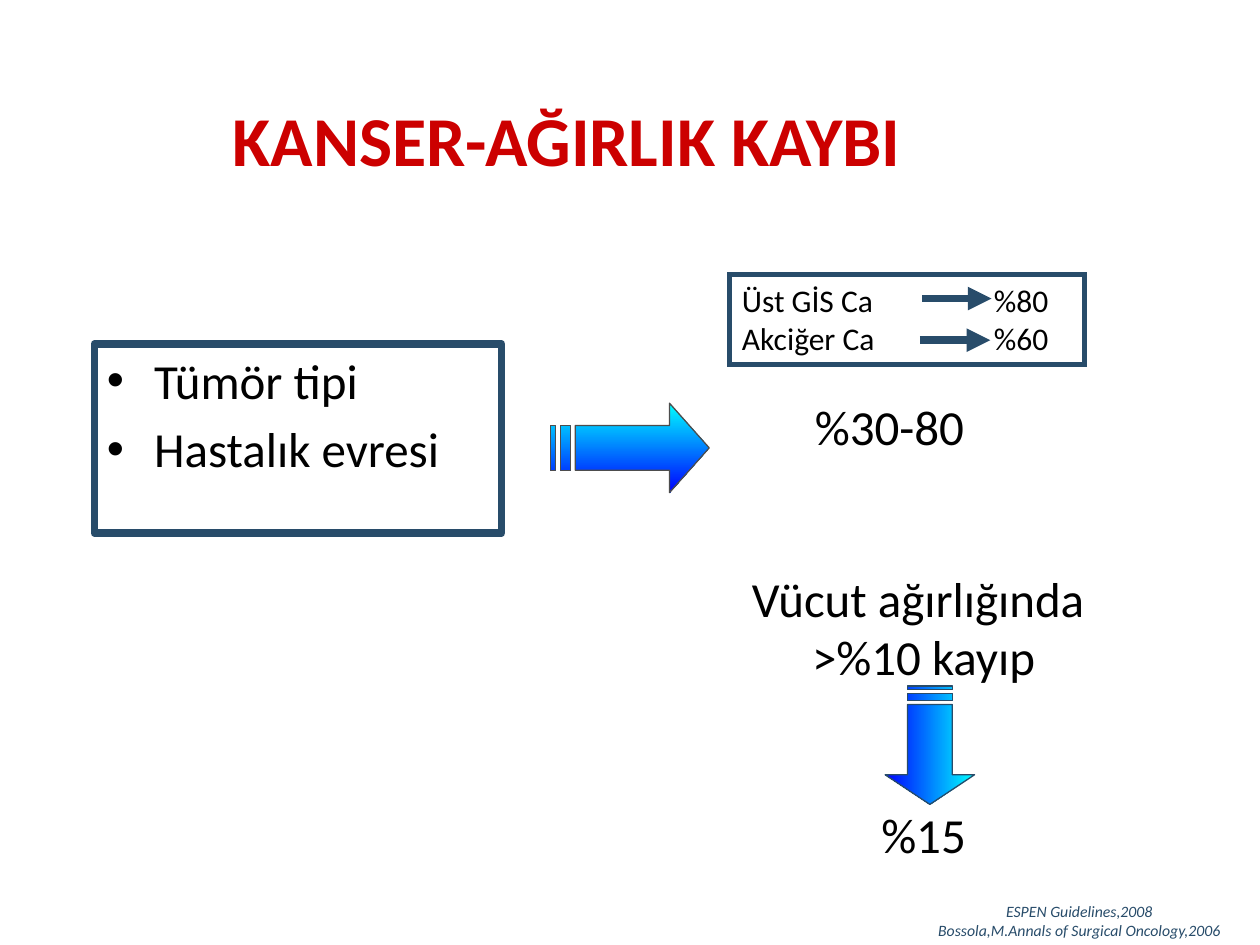
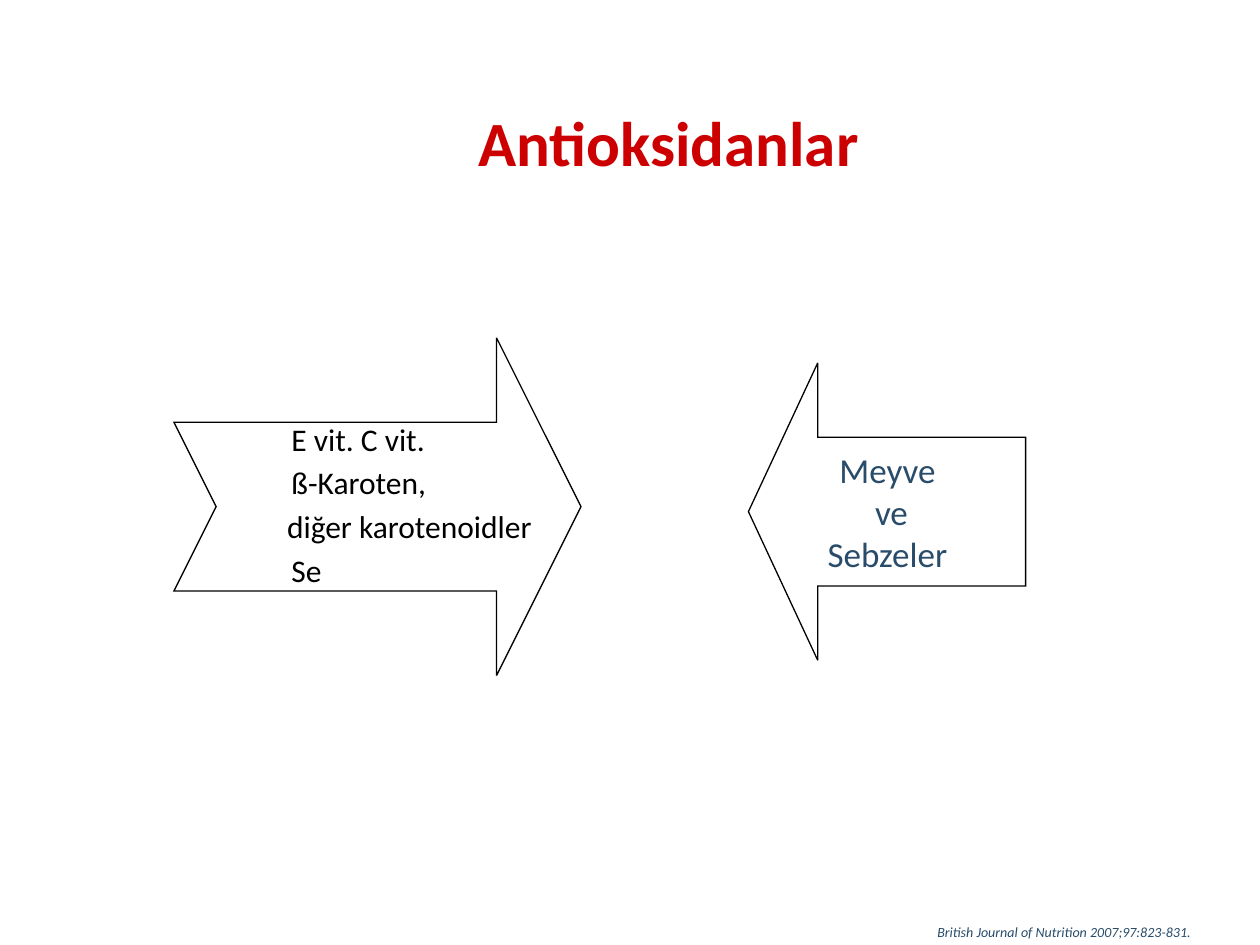
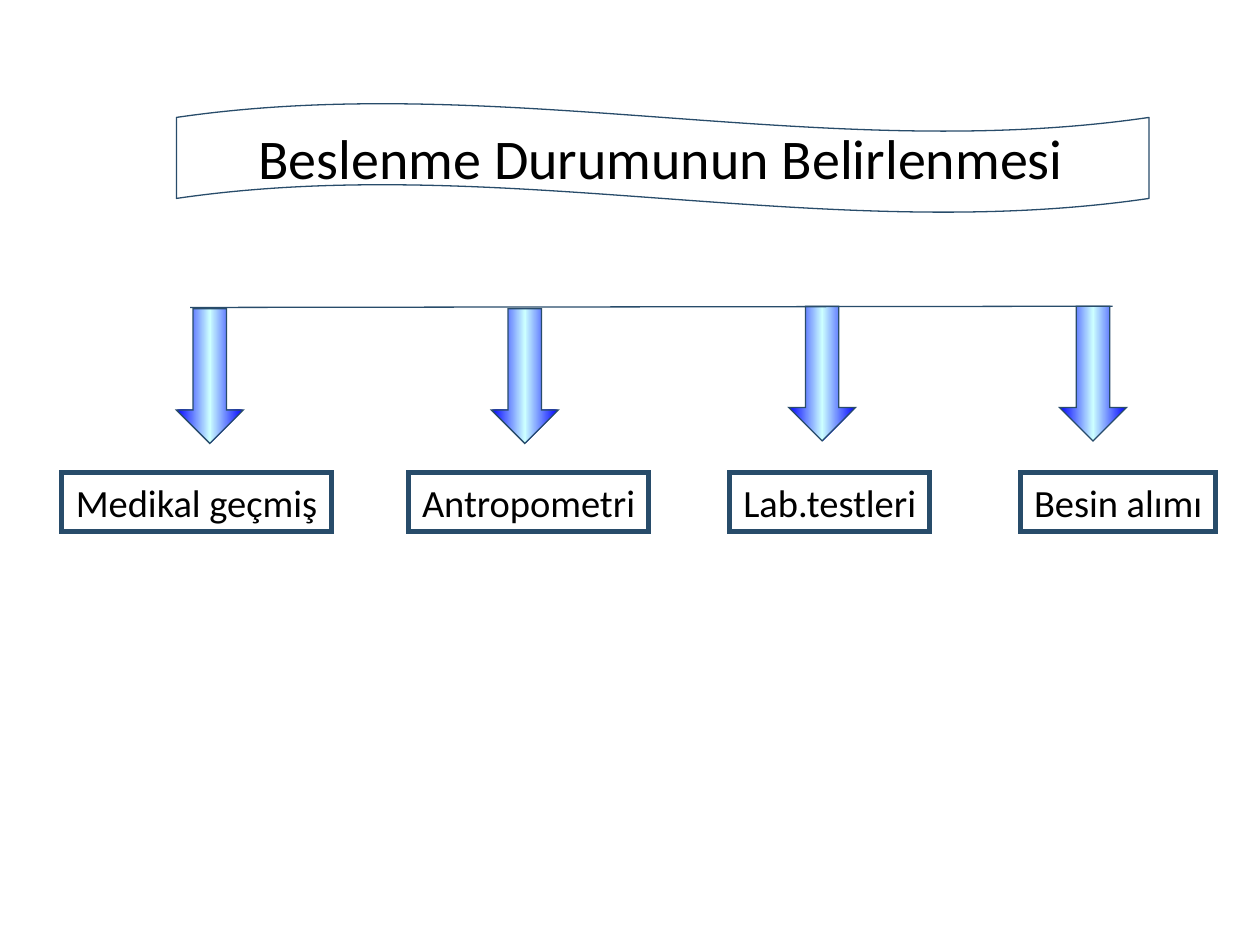
import pptx
import pptx.util
import pptx.dml.color
import pptx.enum.shapes
import pptx.enum.text
import pptx.oxml
import pptx.oxml.ns
from lxml import etree

Pt = pptx.util.Pt
SHAPE = pptx.enum.shapes.MSO_SHAPE
ANCHOR = pptx.enum.text.MSO_ANCHOR
LEFT, CENTER = pptx.enum.text.PP_ALIGN.LEFT, pptx.enum.text.PP_ALIGN.CENTER
qn = pptx.oxml.ns.qn

FONT, BULLET_FONT = "Calibri", "Arial"
COLORS = {"title": "CC0000", "navy": "284C6A", "black": "000000",
          "gray": "4D4D4D", "cyan": "00FFFF", "blue": "0000FF", "pale": "CCFFFF"}
CYAN_TO_BLUE = [(0, "cyan"), (100, "blue")]
BLUE_PALE_BLUE = [(0, "blue"), (50, "pale"), (100, "blue")]
TITLE_SIZE = (636, 72)

# Slide 1
FACTORS = ["Tümör tipi", "Hastalık evresi"]
RATES = ["Üst GİS Ca\t%80", "Akciğer Ca\t%60"]
RATE_TAB = 144
RATE_ARROWS = [(527, 566.6, 170.6), (525.6, 565.9, 194.4)]
LOSS = ["Vücut ağırlığında ", ">%10 kayıp", "%15"]
LOSS_GAP = 68
REFERENCES = ["ESPEN Guidelines,2008", "Bossola,M.Annals of Surgical Oncology,2006"]

# Slide 2: text and left indent
ANTIOXIDANTS = [("E vit. C vit.", 27), ("ß-Karoten,", 27),
                ("diğer karotenoidler", 24.5), ("Se", 27)]
SOURCES = ["Meyve ", "ve", "Sebzeler "]
JOURNAL = ["British Journal of Nutrition 2007;97:823-831."]

# Slide 3: label, box left, box width, arrow left, arrow top
ASSESSMENTS = [("Medikal geçmiş", 35.3, 154, 100.8, 176.4),
               ("Antropometri", 233.3, 137.5, 280.8, 176.4),
               ("Lab.testleri", 416.9, 114.5, 450.7, 175),
               ("Besin alımı", 583.2, 111.6, 605.5, 175)]


def rgb(name):
    return pptx.dml.color.RGBColor.from_string(COLORS[name])


def set_line(shape, color, width, miter=False):
    shape.line.color.rgb = rgb(color)
    shape.line.width = Pt(width)
    if miter:
        etree.SubElement(shape.line._get_or_add_ln(), qn("a:miter"), lim="800000")


def set_gradient(shape, stops, angle):
    """Fill with (percent, colour) stops; angle is clockwise in degrees."""
    shape.fill.gradient()
    grad = shape._element.spPr.find(qn("a:gradFill"))
    stop_list = grad.find(qn("a:gsLst"))
    for stop in list(stop_list):
        stop_list.remove(stop)
    for percent, color in stops:
        stop = etree.SubElement(stop_list, qn("a:gs"), pos=str(percent * 1000))
        etree.SubElement(stop, qn("a:srgbClr"), val=COLORS[color])
    grad.find(qn("a:lin")).set("ang", str(angle * 60000))


def write(shape, lines, size, color="black", align=LEFT, anchor=ANCHOR.TOP,
          wrap=False, bold=False, italic=False, gap=0):
    tf = shape.text_frame
    tf.word_wrap = wrap
    if not wrap:
        tf.auto_size = pptx.enum.text.MSO_AUTO_SIZE.SHAPE_TO_FIT_TEXT
    tf.vertical_anchor = anchor
    for i, line in enumerate(lines):
        p = tf.add_paragraph() if i else tf.paragraphs[0]
        p.alignment = align
        if i and gap:
            p.space_before = Pt(gap)
        r = p.add_run()
        r.text = line
        r.font.name, r.font.size = FONT, Pt(size)
        r.font.bold, r.font.italic = bold, italic
        r.font.color.rgb = rgb(color)
    return tf


def indent(p, left, first=0, bullet=None):
    pPr = p._p.get_or_add_pPr()
    pPr.set("marL", str(Pt(left)))
    pPr.set("indent", str(Pt(first)))
    if bullet:
        etree.SubElement(pPr, qn("a:buFont"), typeface=BULLET_FONT)
        etree.SubElement(pPr, qn("a:buChar"), char=bullet)


def add_tab_stop(p, position):
    tabs = etree.SubElement(p._p.get_or_add_pPr(), qn("a:tabLst"))
    etree.SubElement(tabs, qn("a:tab"), pos=str(Pt(position)), algn="l")


def add_text(s, box, lines, size, **style):
    return write(s.shapes.add_textbox(*map(Pt, box)), lines, size, **style)


def add_title(s, left, top, text, size, color="title", bold=True):
    add_text(s, (left, top, *TITLE_SIZE), [text], size, color=color, bold=bold,
             align=CENTER, anchor=ANCHOR.MIDDLE, wrap=True)


def add_reference(s, box, lines, size, align=LEFT):
    add_text(s, box, lines, size, color="navy", italic=True, align=align)


def add_outline(s, kind, box, color="navy", width=0.75, adjustments=(), miter=False):
    sp = s.shapes.add_shape(kind, *map(Pt, box))
    sp.shadow.inherit = False
    sp.fill.background()
    set_line(sp, color, width, miter)
    for i, value in enumerate(adjustments):
        sp.adjustments[i] = value
    return sp


def add_line(s, start, end, width, arrow=False):
    line = s.shapes.add_connector(pptx.enum.shapes.MSO_CONNECTOR.STRAIGHT,
                                  *map(Pt, (*start, *end)))
    set_line(line, "navy", width)
    if arrow:
        etree.SubElement(line.line._get_or_add_ln(), qn("a:tailEnd"), type="triangle")
    etree.SubElement(line._element.spPr, qn("a:effectLst"))


def add_striped_arrow(s, box, color, rotation=0):
    """Right arrow with two stripes behind its stem, laid out on fractions of the box."""
    left, top, width, height = box

    def at(x, y):
        return Pt(left + x * width), Pt(top + y * height)

    def bar(x1, x2):
        return [(x1, .25), (x1, .75), (x2, .75), (x2, .25)]

    head = [(.75, 0), (.75, .25), (5 / 32, .25), (5 / 32, .75), (.75, .75), (.75, 1), (1, .5)]
    builder = s.shapes.build_freeform(*at(*head[0]))
    for n, outline in enumerate([head, bar(1 / 16, 1 / 8), bar(0, 1 / 32)]):
        if n:
            builder.move_to(*at(*outline[0]))
        builder.add_line_segments([at(*point) for point in outline[1:]], close=True)
    sp = builder.convert_to_shape()
    sp.shadow.inherit = False
    sp.rotation = rotation
    set_gradient(sp, CYAN_TO_BLUE, 90)
    set_line(sp, color, 0.75)


def weight_loss_slide(s):
    add_title(s, 5.8, 43.2, "KANSER-AĞIRLIK KAYBI", 40)
    box = add_outline(s, SHAPE.RECTANGLE, (54, 196.6, 232.6, 108), width=4.5)
    for p in write(box, FACTORS, 28, wrap=True, gap=5.5).paragraphs:
        indent(p, 27, -27, "•")
    add_striped_arrow(s, (314.6, 230.4, 90.7, 51.1), "gray")
    add_text(s, (458.6, 223.2, 129.6, 41), ["%30-80"], 28)
    tf = add_text(s, (396, 321.1, 263.5, 177.1), LOSS, 28, align=CENTER)
    tf.paragraphs[-1].space_before = Pt(LOSS_GAP)
    add_striped_arrow(s, (497.5, 400.3, 67.7, 51.1), "navy", rotation=90)
    add_reference(s, (520.6, 511.9, 192.2, 28.8), REFERENCES, 9, CENTER)
    box = add_outline(s, SHAPE.RECTANGLE, (416.9, 157, 203, 51.1), width=3, miter=True)
    for p in write(box, RATES, 18).paragraphs:
        add_tab_stop(p, RATE_TAB)
    for x1, x2, y in RATE_ARROWS:
        add_line(s, (x1, y), (x2, y), 4.5, arrow=True)


def antioxidant_slide(s):
    tf = add_text(s, (132.5, 236.2, 182.2, 155.5), [text for text, _ in ANTIOXIDANTS],
                  18, wrap=True, gap=3.5)
    for p, (_, left) in zip(tf.paragraphs, ANTIOXIDANTS):
        indent(p, left)
    add_title(s, 64.1, 44.6, "Antioksidanlar", 36)
    for kind, box in [(SHAPE.NOTCHED_RIGHT_ARROW, (99.4, 193, 232.6, 193)),
                      (SHAPE.LEFT_ARROW, (427.7, 207.4, 158.4, 169.9))]:
        add_outline(s, kind, box, "black", adjustments=(0.5, 0.25), miter=True)
    add_text(s, (460.8, 252.7, 97.2, 79.2), SOURCES, 20, color="navy", align=CENTER)
    add_reference(s, (528.5, 524.2, 179.3, 16.6), JOURNAL, 8)


def assessment_slide(s):
    add_title(s, 59.8, 54, "Beslenme Durumunun Belirlenmesi", 32, "black", bold=False)
    for label, left, width, arrow_left, arrow_top in ASSESSMENTS:
        box = add_outline(s, SHAPE.RECTANGLE, (left, 270, width, 33.8), width=3, miter=True)
        write(box, [label], 22, align=CENTER)
        arrow = add_outline(s, SHAPE.DOWN_ARROW, (arrow_left, arrow_top, 38.2, 77),
                            adjustments=(0.5, 0.5), miter=True)
        set_gradient(arrow, BLUE_PALE_BLUE, 0)
    add_line(s, (108.7, 175.7), (635.8, 175), 0.75)
    add_outline(s, SHAPE.WAVE, (100.8, 59, 555.8, 62.6), adjustments=(0.13, 0))


def main():
    prs = pptx.Presentation()
    prs.slide_width, prs.slide_height = Pt(720), Pt(540)
    for build in (weight_loss_slide, antioxidant_slide, assessment_slide):
        build(prs.slides.add_slide(prs.slide_layouts[6]))
    prs.save("out.pptx")


if __name__ == "__main__":
    main()
